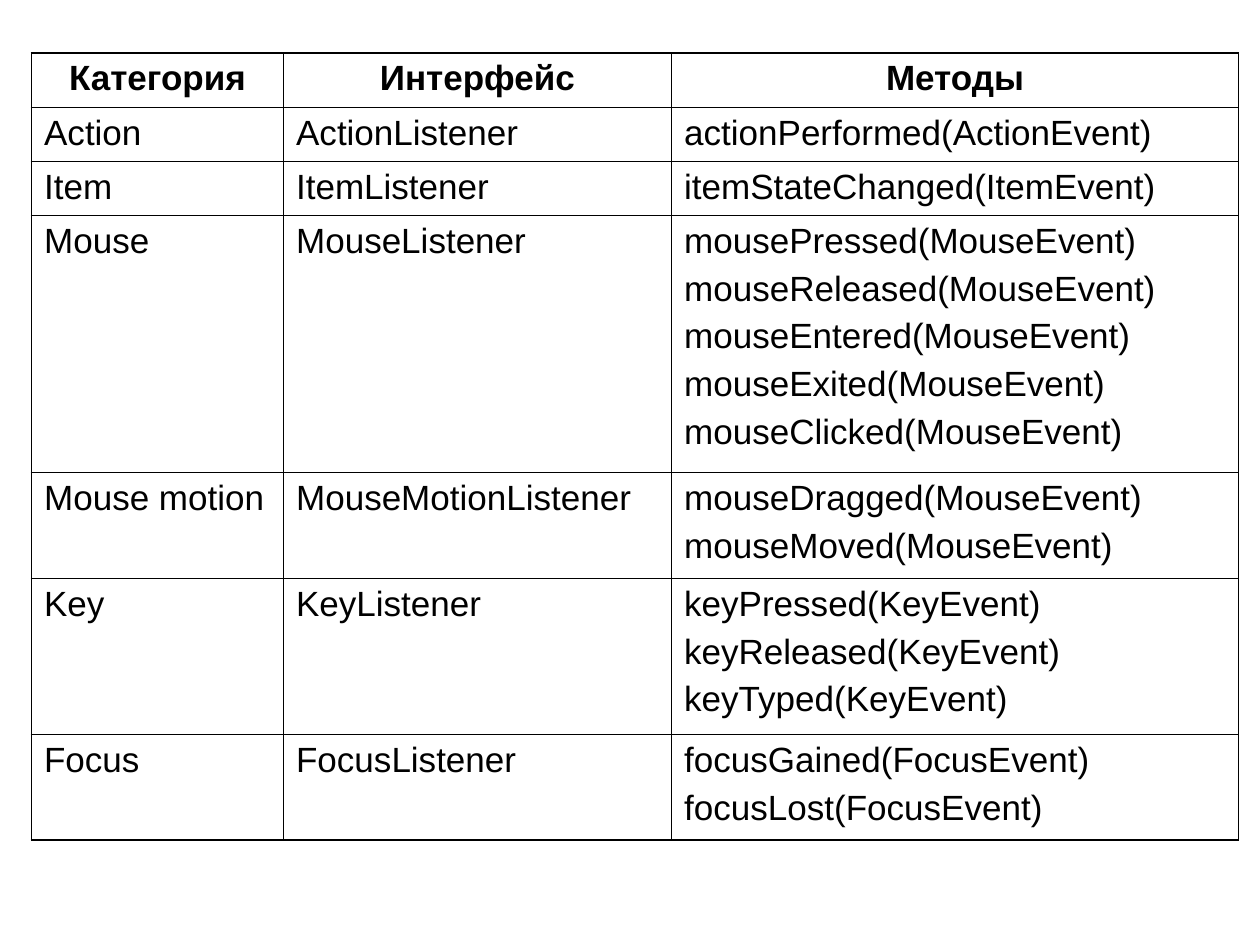
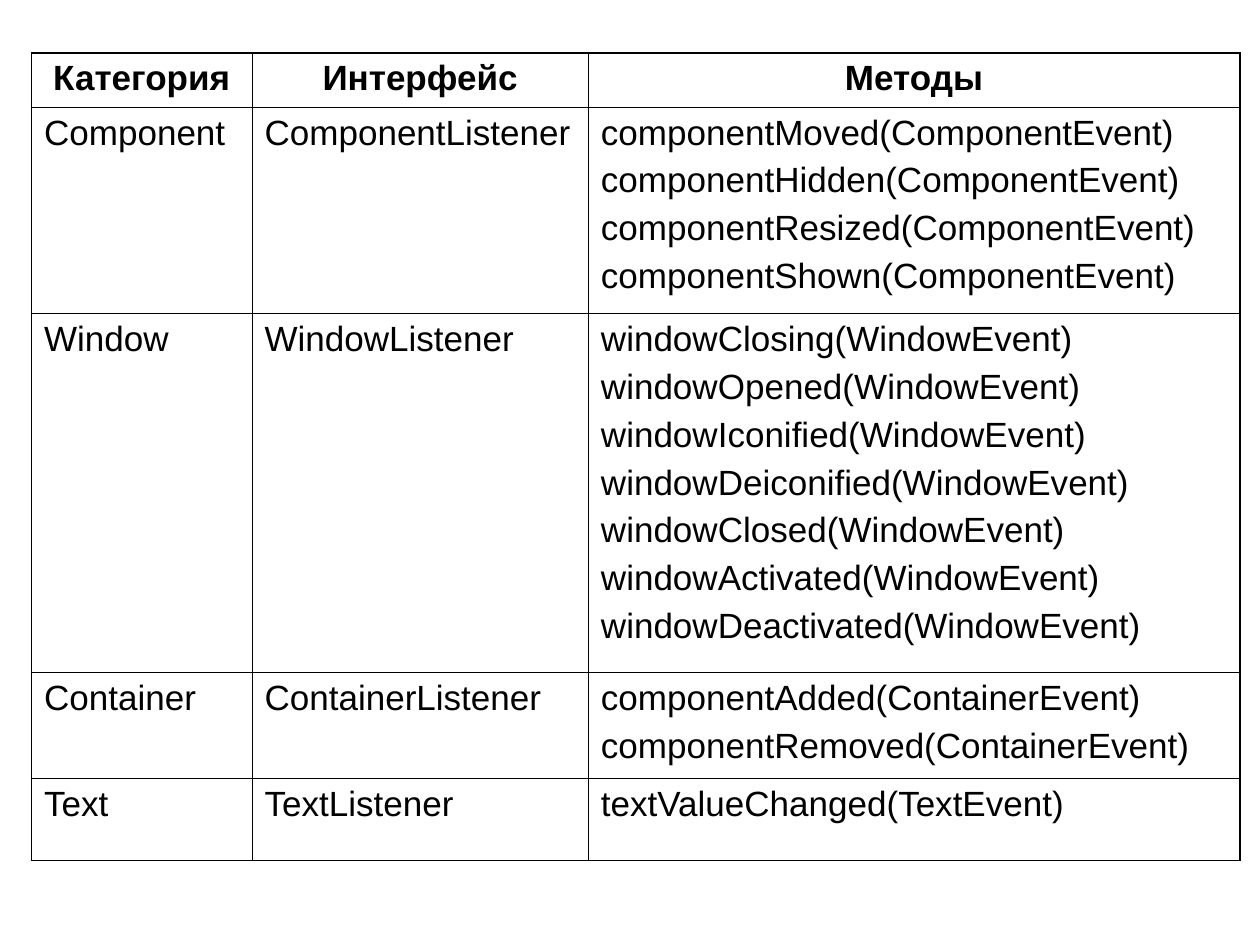
import pptx
import pptx.util
import pptx.dml.color
import pptx.enum.text
import lxml.etree

Inches = pptx.util.Inches
Pt = pptx.util.Pt
ALIGN = pptx.enum.text.PP_ALIGN

# Shared look
THEME = {
    "ink": "000000",
    "thin": 0.45,
    "thick": 1.08,
    "font": {"name": "Arial", "size": Pt(20)},
    "para": {"space_before": Pt(5)},
    "cell": {
        "margin_left": Inches(0.1), "margin_right": Inches(0.1),
        "margin_top": Inches(0.05), "margin_bottom": Inches(0.05),
        "vertical_anchor": pptx.enum.text.MSO_ANCHOR.TOP,
    },
}
LEFT, TOP = 0.25, 0.42
HEAD = ("Категория", "Интерфейс", ["Методы"], 0.43)

# Each row: category, interface, methods, height; the event name closes each method
TABLES = [
    {
        "cols": [2, 3.08, 4.5],
        "rows": [
            ("Action", "ActionListener", ["actionPerformed(ActionEvent)"], 0.43),
            ("Item", "ItemListener", ["itemStateChanged(ItemEvent)"], 0.43),
            ("Mouse", "MouseListener", [
                f"mouse{act}(MouseEvent)" for act in
                ("Pressed", "Released", "Entered", "Exited", "Clicked")], 2.04),
            ("Mouse motion", "MouseMotionListener", [
                f"mouse{act}(MouseEvent)" for act in ("Dragged", "Moved")], 0.84),
            ("Key", "KeyListener", [
                f"key{act}(KeyEvent)" for act in
                ("Pressed", "Released", "Typed")], 1.24),
            ("Focus", "FocusListener", [
                f"focus{act}(FocusEvent)" for act in ("Gained", "Lost")], 0.84),
        ],
    },
    {
        "cols": [1.75, 2.67, 5.17],
        "rows": [
            ("Component", "ComponentListener", [
                f"component{act}(ComponentEvent)" for act in
                ("Moved", "Hidden", "Resized", "Shown")], 1.64),
            ("Window", "WindowListener", [
                f"window{act}(WindowEvent)" for act in
                ("Closing", "Opened", "Iconified", "Deiconified",
                 "Closed", "Activated", "Deactivated")], 2.85),
            ("Container", "ContainerListener", [
                f"component{act}(ContainerEvent)" for act in
                ("Added", "Removed")], 0.84),
            ("Text", "TextListener", ["textValueChanged(TextEvent)"], 0.65),
        ],
    },
]


def style(item, form):
    for key, value in form.items():
        setattr(item, key, value)


def edge(cell, side, width):
    space = "{http://schemas.openxmlformats.org/drawingml/2006/main}"
    props = cell._tc.get_or_add_tcPr()
    line = lxml.etree.SubElement(props, f"{space}ln{side}", w=str(int(Pt(width))))
    fill = lxml.etree.SubElement(line, f"{space}solidFill")
    lxml.etree.SubElement(fill, f"{space}srgbClr", val=THEME["ink"])


deck = pptx.Presentation()
style(deck, {"slide_width": Inches(10), "slide_height": Inches(7.5)})

for data in TABLES:
    slide = deck.slides.add_slide(deck.slide_layouts[6])
    rows = [HEAD] + data["rows"]
    cols = data["cols"]
    high = sum(row[-1] for row in rows)

    # Grid
    frame = slide.shapes.add_table(
        len(rows), len(cols), Inches(LEFT), Inches(TOP),
        Inches(sum(cols)), Inches(high))
    grid = frame.table
    style(grid, {"first_row": False, "horz_banding": False})
    for col, width in zip(grid.columns, cols):
        col.width = Inches(width)

    for r, (kind, face, calls, height) in enumerate(rows):
        grid.rows[r].height = Inches(height)
        for c, lines in enumerate(([kind], [face], calls)):
            cell = grid.cell(r, c)
            style(cell, THEME["cell"])

            # Thick rules outside, thin ones inside
            outer = {"L": c == 0, "R": c == len(cols) - 1,
                     "T": r == 0, "B": r == len(rows) - 1}
            for side, out in outer.items():
                edge(cell, side, THEME["thick" if out else "thin"])
            cell.fill.background()

            # One paragraph per line, with a bold centred header
            cell.text = "\n".join(lines)
            for para in cell.text_frame.paragraphs:
                style(para, THEME["para"])
                para.alignment = ALIGN.CENTER if r == 0 else ALIGN.LEFT
                font = para.runs[0].font
                style(font, THEME["font"])
                font.bold = r == 0
                font.color.rgb = pptx.dml.color.RGBColor.from_string(THEME["ink"])

deck.save("out.pptx")
